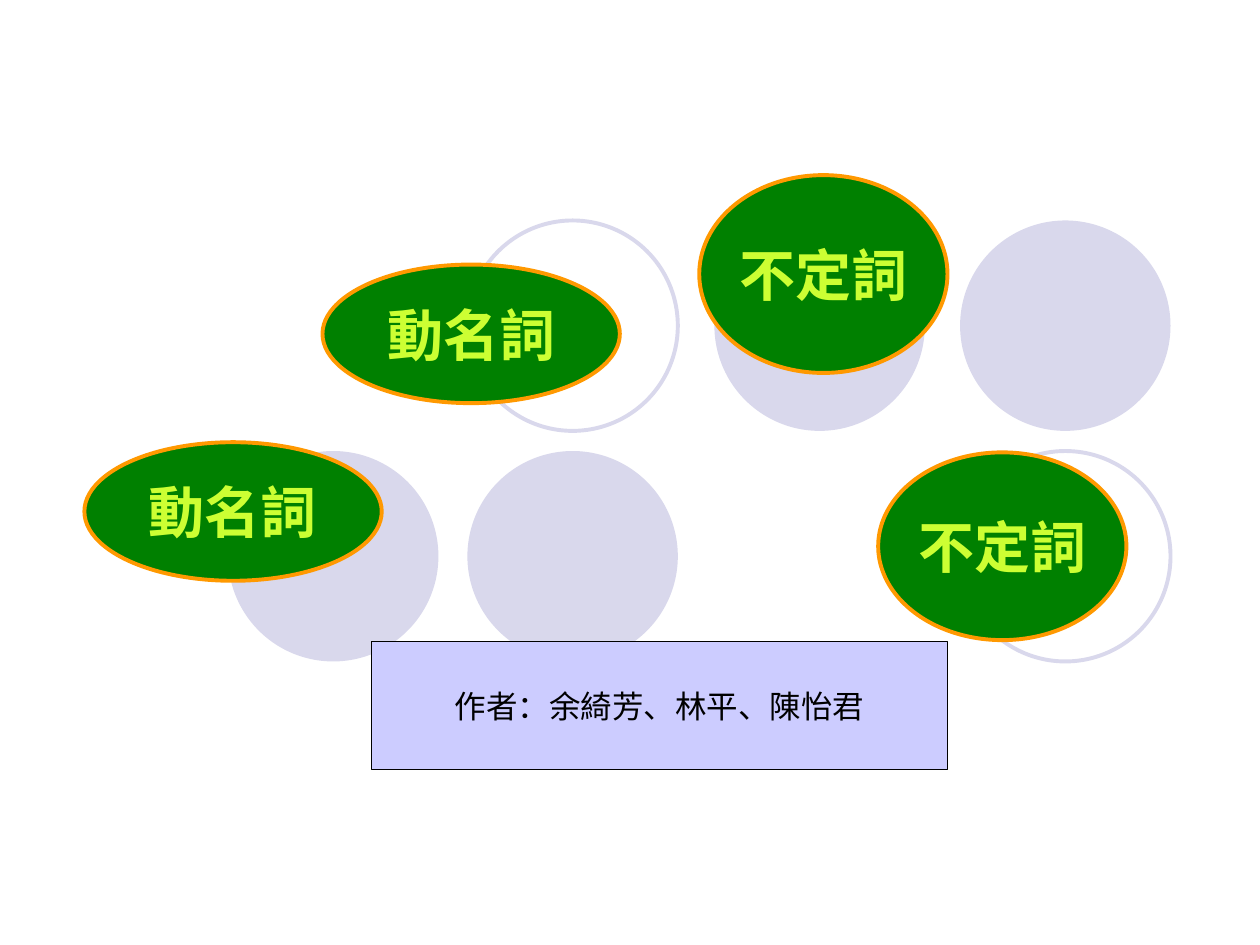
from dataclasses import dataclass

from pptx import Presentation
from pptx.dml.color import RGBColor
from pptx.enum.shapes import MSO_SHAPE
from pptx.enum.text import MSO_ANCHOR, PP_ALIGN
from pptx.util import Inches, Pt

OVAL = MSO_SHAPE.OVAL
RECTANGLE = MSO_SHAPE.RECTANGLE
MIDDLE = MSO_ANCHOR.MIDDLE
CENTER = PP_ALIGN.CENTER
BLANK_LAYOUT = 6


@dataclass(frozen=True)
class Theme:
    font: str = "Arial"
    circle: str = "D9D8EC"
    word_fill: str = "008000"
    word_line: str = "FF9900"
    word_text: str = "CCFF33"
    author_fill: str = "CCCCFF"
    author_ink: str = "000000"
    word_size: int = 32
    author_size: int = 18
    thick_line: float = 2.25
    thin_line: float = 0.75


class SlideBuilder:
    def __init__(self, slide, theme):
        self.slide = slide
        self.theme = theme

    def shape(self, kind, box, fill=None, line=None, line_width=0):
        shape = self.slide.shapes.add_shape(kind, *map(Inches, box))
        shape.shadow.inherit = False
        if fill:
            shape.fill.solid()
            shape.fill.fore_color.rgb = RGBColor.from_string(fill)
        else:
            shape.fill.background()
        if line:
            shape.line.color.rgb = RGBColor.from_string(line)
            shape.line.width = Pt(line_width)
        else:
            shape.line.fill.background()
        return shape

    def label(self, shape, text, size, color, bold=False):
        frame = shape.text_frame
        frame.word_wrap = False
        frame.vertical_anchor = MIDDLE
        paragraph = frame.paragraphs[0]
        paragraph.text = text
        paragraph.alignment = CENTER
        paragraph.font.name = self.theme.font
        paragraph.font.size = Pt(size)
        paragraph.font.bold = bold
        paragraph.font.color.rgb = RGBColor.from_string(color)

    def circle(self, left, top, filled):
        theme = self.theme
        box = (left, top, 1.67, 1.67)
        if filled:
            self.shape(OVAL, box, fill=theme.circle)
        else:
            self.shape(OVAL, box, line=theme.circle, line_width=theme.thick_line)

    def word(self, text, box):
        theme = self.theme
        oval = self.shape(OVAL, box, theme.word_fill, theme.word_line, theme.thick_line)
        self.label(oval, text, theme.word_size, theme.word_text, bold=True)

    def authors(self, text, box):
        theme = self.theme
        panel = self.shape(RECTANGLE, box, theme.author_fill, theme.author_ink, theme.thin_line)
        self.label(panel, text, theme.author_size, theme.author_ink)


def main():
    presentation = Presentation()
    presentation.slide_width = Inches(10)
    presentation.slide_height = Inches(7.5)
    slide = presentation.slides.add_slide(presentation.slide_layouts[BLANK_LAYOUT])
    builder = SlideBuilder(slide, Theme())

    circle_rows = {
        1.75: [(7.62, True), (5.67, True), (3.71, False)],
        3.58: [(3.71, True), (1.81, True), (7.62, False)],
    }
    for top, circles in circle_rows.items():
        for left, filled in circles:
            builder.circle(left, top, filled)

    words = [
        ("動名詞", (0.67, 3.51, 2.36, 1.1)),
        ("不定詞", (5.55, 1.39, 1.97, 1.57)),
        ("動名詞", (2.56, 2.1, 2.36, 1.1)),
        ("不定詞", (6.97, 3.59, 1.97, 1.49)),
    ]
    for text, box in words:
        builder.word(text, box)

    builder.authors("作者：余綺芳、林平、陳怡君", (2.95, 5.09, 4.57, 1.02))
    presentation.save("out.pptx")


if __name__ == "__main__":
    main()
